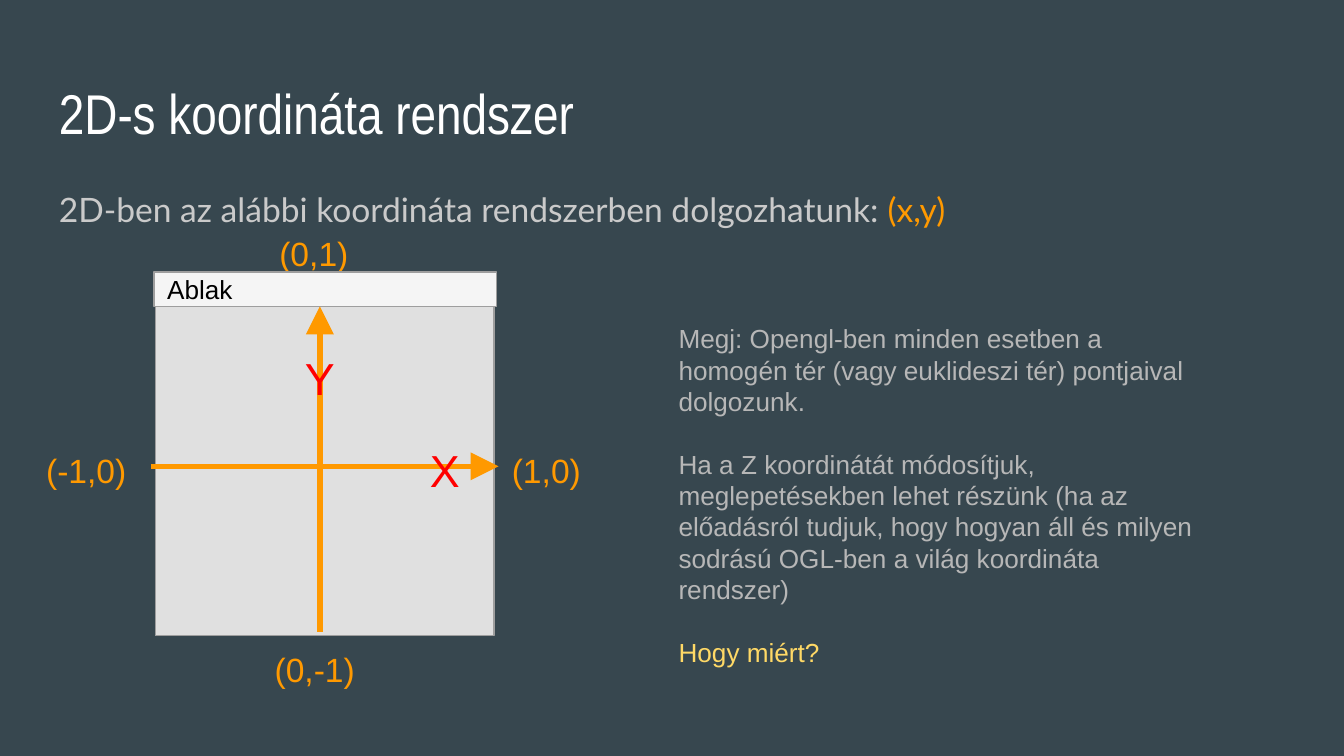
from dataclasses import dataclass

from lxml import etree
from pptx import Presentation
from pptx.dml.color import RGBColor
from pptx.enum.shapes import MSO_CONNECTOR, MSO_SHAPE
from pptx.enum.text import MSO_ANCHOR, PP_ALIGN
from pptx.oxml.ns import qn
from pptx.util import Pt

PX = 4572  # EMU, 200 px to the inch
SLIDE_WIDTH, SLIDE_HEIGHT = 2000, 1125
INSET = 20
RECTANGLE = MSO_SHAPE.RECTANGLE
STRAIGHT = MSO_CONNECTOR.STRAIGHT
TOP, MIDDLE = MSO_ANCHOR.TOP, MSO_ANCHOR.MIDDLE
LEFT = PP_ALIGN.LEFT


@dataclass(frozen=True)
class Theme:
    background: str = "37474F"
    title: str = "FFFFFF"
    body: str = "CACACA"
    note: str = "B7B7B7"
    question: str = "FFD966"
    accent: str = "FF9900"
    axis_name: str = "FF0000"
    window: str = "E0E0E0"
    title_bar: str = "F5F5F5"
    border: str = "9E9E9E"
    window_text: str = "000000"
    title_font: str = "Arial Narrow"
    body_font: str = "Lato"
    label_font: str = "Arial"
    title_size: int = 30
    axis_size: int = 24
    body_size: int = 18
    note_size: int = 14
    note_gap: float = 16.8
    axis_width: int = 3
    border_width: float = 0.75


THEME = Theme()


def rgb(color):
    return RGBColor.from_string(color)


def box(left, top, width, height):
    return [length * PX for length in (left, top, width, height)]


def write(shape, paragraphs, font, size, gap=0, line_spacing=None, anchor=TOP):
    """Fill a shape with paragraphs, each a list of (text, color) runs."""
    frame = shape.text_frame
    frame.word_wrap = True
    frame.vertical_anchor = anchor
    frame.margin_left = frame.margin_right = INSET * PX
    frame.margin_top = frame.margin_bottom = INSET * PX
    for index, runs in enumerate(paragraphs):
        paragraph = frame.add_paragraph() if index else frame.paragraphs[0]
        paragraph.alignment = LEFT
        paragraph.space_before = Pt(gap if index else 0)
        if line_spacing:
            paragraph.line_spacing = line_spacing
        for text, color in runs:
            run = paragraph.add_run()
            run.text = text
            run.font.name = font
            run.font.size = Pt(size)
            run.font.color.rgb = rgb(color)


def add_text(slide, area, paragraphs, font, size, **layout):
    write(slide.shapes.add_textbox(*box(*area)), paragraphs, font, size, **layout)


def add_label(slide, area, text, size, color):
    add_text(slide, area, [[(text, color)]], THEME.label_font, size)


def add_panel(slide, area, fill):
    panel = slide.shapes.add_shape(RECTANGLE, *box(*area))
    panel.shadow.inherit = False
    panel.fill.solid()
    panel.fill.fore_color.rgb = rgb(fill)
    panel.line.color.rgb = rgb(THEME.border)
    panel.line.width = Pt(THEME.border_width)
    return panel


def add_axis(slide, start, end):
    axis = slide.shapes.add_connector(STRAIGHT, *box(*start, *end))
    axis.line.color.rgb = rgb(THEME.accent)
    axis.line.width = Pt(THEME.axis_width)
    properties = axis._element.spPr
    etree.SubElement(properties.find(qn("a:ln")), qn("a:tailEnd"),
                     type="triangle", w="lg", len="lg")
    etree.SubElement(properties, qn("a:effectLst"))


def add_window(slide):
    add_panel(slide, (231, 443, 504, 503), THEME.window)
    title_bar = add_panel(slide, (229, 405, 510, 51), THEME.title_bar)
    write(title_bar, [[("Ablak", THEME.window_text)]],
          THEME.label_font, THEME.note_size, anchor=MIDDLE)


def add_coordinate_system(slide):
    # The top label lies behind the window's title bar.
    add_label(slide, (396, 327, 176, 98), "(0,1)", THEME.body_size, THEME.accent)
    add_window(slide)
    add_axis(slide, (225, 694), (742, 694))
    add_axis(slide, (476, 940), (476, 456))
    for left, top, point in ((742, 650, "(1,0)"), (389, 946, "(0,-1)"), (49, 650, "(-1,0)")):
        add_label(slide, (left, top, 176, 98), point, THEME.body_size, THEME.accent)
    for left, top, name in ((620, 639, "X"), (434, 502, "Y")):
        add_label(slide, (left, top, 114, 98), name, THEME.axis_size, THEME.axis_name)


def main():
    presentation = Presentation()
    presentation.slide_width = SLIDE_WIDTH * PX
    presentation.slide_height = SLIDE_HEIGHT * PX
    slide = presentation.slides.add_slide(presentation.slide_layouts[6])
    slide.background.fill.solid()
    slide.background.fill.fore_color.rgb = rgb(THEME.background)

    add_text(slide, (68, 252, 1864, 748),
             [[("2D-ben az alábbi koordináta rendszerben dolgozhatunk: ", THEME.body),
               ("(x,y)", THEME.accent)]],
             THEME.body_font, THEME.body_size, line_spacing=1.15)
    add_text(slide, (68, 97, 1864, 126), [[("2D-s koordináta rendszer", THEME.title)]],
             THEME.title_font, THEME.title_size)
    add_coordinate_system(slide)
    add_text(slide, (990, 460, 816, 584),
             [[("Megj: Opengl-ben minden esetben a homogén tér (vagy euklideszi tér) "
                "pontjaival dolgozunk.", THEME.note)],
              [("Ha a Z koordinátát módosítjuk, meglepetésekben lehet részünk (ha az "
                "előadásról tudjuk, hogy hogyan áll és milyen sodrású OGL-ben a világ "
                "koordináta rendszer)", THEME.note)],
              [("Hogy miért?", THEME.question)]],
             THEME.label_font, THEME.note_size, gap=THEME.note_gap)
    presentation.save("out.pptx")


if __name__ == "__main__":
    main()
